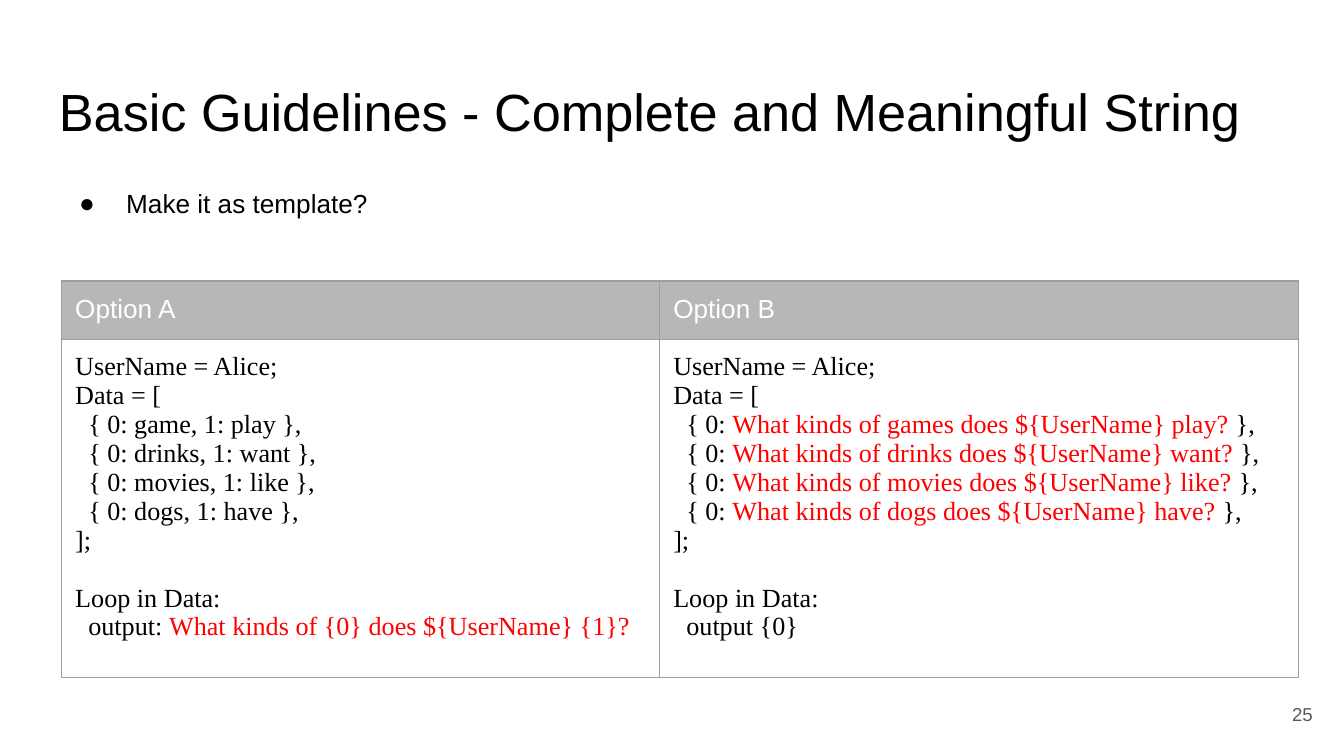
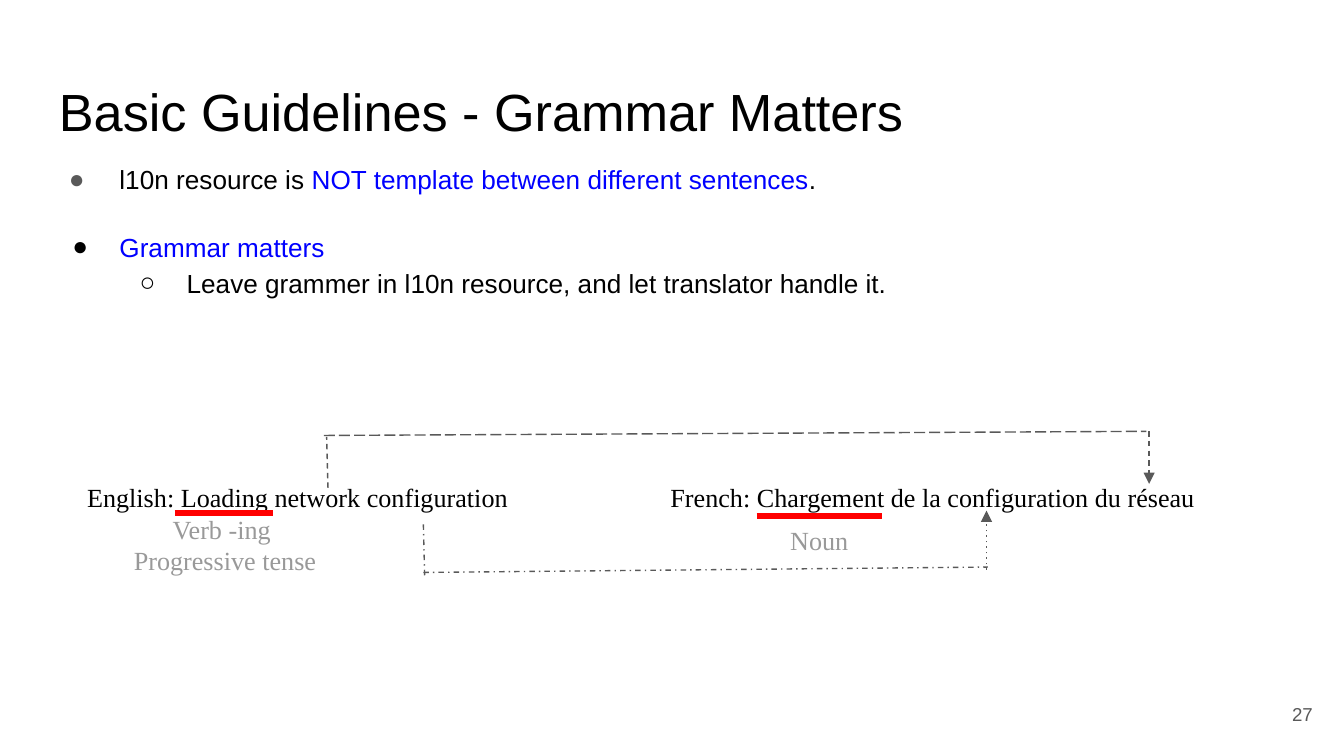
from dataclasses import dataclass
from itertools import product
from typing import NamedTuple, Sequence

from pptx import Presentation
from pptx.dml.color import RGBColor
from pptx.enum import shapes, text
from pptx.oxml import parse_xml
from pptx.oxml.ns import nsdecls
from pptx.util import Pt


# Theme: colours, fonts and type sizes
@dataclass(frozen=True)
class Theme:
    ink: str = "000000"
    paper: str = "FFFFFF"
    red: str = "FF0000"
    blue: str = "0000FF"
    slate: str = "595959"
    hint: str = "999999"
    header_fill: str = "B7B7B7"
    border: str = "9E9E9E"
    sans: str = "Arial"
    serif: str = "Times New Roman"
    title_size: float = 28
    body_size: float = 14
    number_size: float = 10
    inset: float = 7.2
    hairline: float = 0.75
    underline: float = 3


THEME = Theme()


class Box(NamedTuple):
    left: float
    top: float
    width: float
    height: float


class Style(NamedTuple):
    font: str = THEME.sans
    size: float = THEME.body_size
    colour: str = THEME.ink
    accent: str = THEME.blue


class Line(NamedTuple):
    """One paragraph; words between bars take the accent colour."""
    text: str
    margin: float = 0
    hanging: float = 0
    bullet: str = ""
    bullet_colour: str = THEME.ink
    space_before: float = 0
    spacing: float = 1.0


class Stroke(NamedTuple):
    start: tuple[float, float]
    end: tuple[float, float]
    dash: str = "solid"
    arrow: bool = False
    colour: str = THEME.slate
    width: float = THEME.hairline


TITLE_BOX = Box(24.5, 35.1, 671, 45.5)
NUMBER_BOX = Box(667.2, 367.2, 43.2, 31)
TITLE_STYLE = Style(size=THEME.title_size)
NUMBER_STYLE = Style(size=THEME.number_size, colour=THEME.slate)
HEADER_STYLE = Style(colour=THEME.paper)
CODE_STYLE = Style(font=THEME.serif, accent=THEME.red)
HINT_STYLE = Style(font=THEME.serif, colour=THEME.hint)
LEFT, CENTER, RIGHT = text.PP_ALIGN.LEFT, text.PP_ALIGN.CENTER, text.PP_ALIGN.RIGHT


# Text
def rgb(colour: str) -> RGBColor:
    return RGBColor.from_string(colour)


def format_line(paragraph, line: Line, style: Style, align=LEFT) -> None:
    spans = [(words, style.accent if index % 2 else style.colour)
             for index, words in enumerate(line.text.split("|")) if words]
    paragraph.text = spans[0][0]
    for words, _ in spans[1:]:
        paragraph.add_run().text = words
    for run, (_, colour) in zip(paragraph.runs, spans):
        run.font.name = style.font
        run.font.size = Pt(style.size)
        run.font.color.rgb = rgb(colour)
    paragraph.alignment = align
    paragraph.line_spacing = line.spacing
    paragraph.space_before = Pt(line.space_before)
    properties = paragraph._p.get_or_add_pPr()
    properties.set("marL", str(Pt(line.margin)))
    properties.set("indent", str(Pt(-line.hanging)))
    if line.bullet:
        for xml in (f'<a:buClr {nsdecls("a")}><a:srgbClr val="{line.bullet_colour}"/></a:buClr>',
                    f'<a:buFont {nsdecls("a")} typeface="{THEME.sans}"/>',
                    f'<a:buChar {nsdecls("a")} char="{line.bullet}"/>'):
            properties.append(parse_xml(xml))


def fill_text(frame, lines: Sequence[Line], style: Style, align=LEFT) -> None:
    for index, line in enumerate(lines):
        paragraph = frame.add_paragraph() if index else frame.paragraphs[0]
        format_line(paragraph, line, style, align)


def add_text(slide, box: Box, lines: Sequence[Line], style: Style,
             align=LEFT, anchor=text.MSO_ANCHOR.TOP) -> None:
    frame = slide.shapes.add_textbox(*map(Pt, box)).text_frame
    frame.word_wrap = True
    frame.vertical_anchor = anchor
    frame.margin_left = frame.margin_right = Pt(THEME.inset)
    frame.margin_top = frame.margin_bottom = Pt(THEME.inset)
    fill_text(frame, lines, style, align)


def bullet(words: str, level: int = 1, symbol: str = "●", **options) -> Line:
    settings = {"hanging": 25.2, "spacing": 1.15} | options
    return Line(words, margin=36 * level, bullet=symbol, **settings)


# Lines
def add_stroke(slide, stroke: Stroke) -> None:
    connector = slide.shapes.add_connector(
        shapes.MSO_CONNECTOR.STRAIGHT, *map(Pt, stroke.start + stroke.end))
    connector.line.color.rgb = rgb(stroke.colour)
    connector.line.width = Pt(stroke.width)
    outline = connector.line._get_or_add_ln()
    outline.append(parse_xml(f'<a:prstDash {nsdecls("a")} val="{stroke.dash}"/>'))
    if stroke.arrow:
        outline.append(parse_xml(f'<a:tailEnd {nsdecls("a")} type="triangle"/>'))
    connector._element.spPr.append(parse_xml(f'<a:effectLst {nsdecls("a")}/>'))


# Table
def format_cell(cell, lines: Sequence[Line], style: Style, fill: str) -> None:
    cell.margin_left = cell.margin_right = Pt(THEME.inset)
    cell.margin_top = cell.margin_bottom = Pt(THEME.inset)
    cell.fill.solid()
    cell.fill.fore_color.rgb = rgb(fill)
    fill_text(cell.text_frame, lines, style)
    properties = cell._tc.get_or_add_tcPr()
    for index, side in enumerate("LRTB"):
        properties.insert(index, parse_xml(
            f'<a:ln{side} {nsdecls("a")} w="{Pt(THEME.hairline)}"><a:solidFill>'
            f'<a:srgbClr val="{THEME.border}"/></a:solidFill></a:ln{side}>'))


def add_options_table(slide, options: dict[str, Sequence[Line]]) -> None:
    widths, heights = (320.4, 342), (30.2, 169.2)
    box = Box(33.1, 150.5, sum(widths), sum(heights))
    table = slide.shapes.add_table(2, len(options), *map(Pt, box)).table
    table.first_row = table.horz_banding = False
    for column, width in zip(table.columns, widths):
        column.width = Pt(width)
    for row, height in zip(table.rows, heights):
        row.height = Pt(height)
    for index, (heading, code) in enumerate(options.items()):
        format_cell(table.cell(0, index), [Line(heading)], HEADER_STYLE, THEME.header_fill)
        format_cell(table.cell(1, index), code, CODE_STYLE, THEME.paper)


def code_listing(records: Sequence[str], output: str) -> list[Line]:
    step = 7
    return [Line("UserName = Alice;"), Line("Data = ["),
            *(Line(f"{{ 0: {record} }},", margin=step) for record in records),
            Line("];"), Line("Loop in Data:", space_before=15.5),
            Line(output, margin=step)]


# Slides
def add_slide(presentation, title: str, number: int):
    slide = presentation.slides.add_slide(presentation.slide_layouts[6])
    slide.background.fill.solid()
    slide.background.fill.fore_color.rgb = rgb(THEME.paper)
    add_text(slide, TITLE_BOX, [Line(title)], TITLE_STYLE)
    add_text(slide, NUMBER_BOX, [Line(str(number))], NUMBER_STYLE,
             RIGHT, text.MSO_ANCHOR.MIDDLE)
    return slide


def build_template_slide(presentation) -> None:
    slide = add_slide(presentation, "Basic Guidelines - Complete and Meaningful String", 25)
    add_text(slide, Box(24.5, 90.7, 671, 269), [bullet("Make it as template?")], Style())
    pairs = [("game", "play"), ("drinks", "want"), ("movies", "like"), ("dogs", "have")]
    questions = [(noun.replace("game", "games"), verb) for noun, verb in pairs]
    add_options_table(slide, {
        "Option A": code_listing([f"{noun}, 1: {verb}" for noun, verb in pairs],
                                 "output: |What kinds of {0} does ${UserName} {1}?|"),
        "Option B": code_listing(
            [f"|What kinds of {noun} does ${{UserName}} {verb}?|" for noun, verb in questions],
            "output {0}"),
    })


def build_grammar_slide(presentation) -> None:
    slide = add_slide(presentation, "Basic Guidelines - Grammar Matters", 27)
    add_text(slide, Box(20.9, 77.8, 671, 111.6), [
        bullet("l10n resource is |NOT template between different sentences|.",
               hanging=27, bullet_colour=THEME.slate),
        bullet("|Grammar matters|", space_before=17),
        bullet("Leave grammer in l10n resource, and let translator handle it.", 2, "○"),
    ], Style())

    # Sentences and the grammar hints below them
    height = 49.7
    add_text(slide, Box(39.6, 250.6, 270.7, height),
             [Line("English: Loading network configuration")], CODE_STYLE)
    add_text(slide, Box(352.1, 250.6, 353.5, height),
             [Line("French: Chargement de la configuration du réseau")], CODE_STYLE)
    add_text(slide, Box(29.5, 267.8, 182.2, height),
             [Line("Verb -ing "), Line("Progressive tense")], HINT_STYLE, CENTER)
    add_text(slide, Box(347.8, 273.6, 182.2, height), [Line("Noun")], HINT_STYLE, CENTER)

    # Underlines of the first words
    for left, right, height in ((93.6, 146.2, 275), (405.4, 472.3, 276.5)):
        add_stroke(slide, Stroke((left, height), (right, height),
                                 colour=THEME.red, width=THEME.underline))

    # Links between matching words: above, then below
    for stroke in (
        Stroke((175.7, 261.4), (175, 234), "dash"),
        Stroke((173.5, 233.3), (614.2, 231.1), "lgDash"),
        Stroke((615.6, 231.1), (615.6, 259.2), "dash", arrow=True),
        Stroke((227.5, 308.2), (226.8, 280.8), "dashDot"),
        Stroke((226.8, 306.7), (529.2, 303.8), "dashDot"),
        Stroke((528.5, 305.3), (528.5, 273.6), "dot", arrow=True),
    ):
        add_stroke(slide, stroke)


def main() -> None:
    presentation = Presentation()
    presentation.slide_width, presentation.slide_height = Pt(720), Pt(405)
    build_template_slide(presentation)
    build_grammar_slide(presentation)
    presentation.save("out.pptx")


if __name__ == "__main__":
    main()
